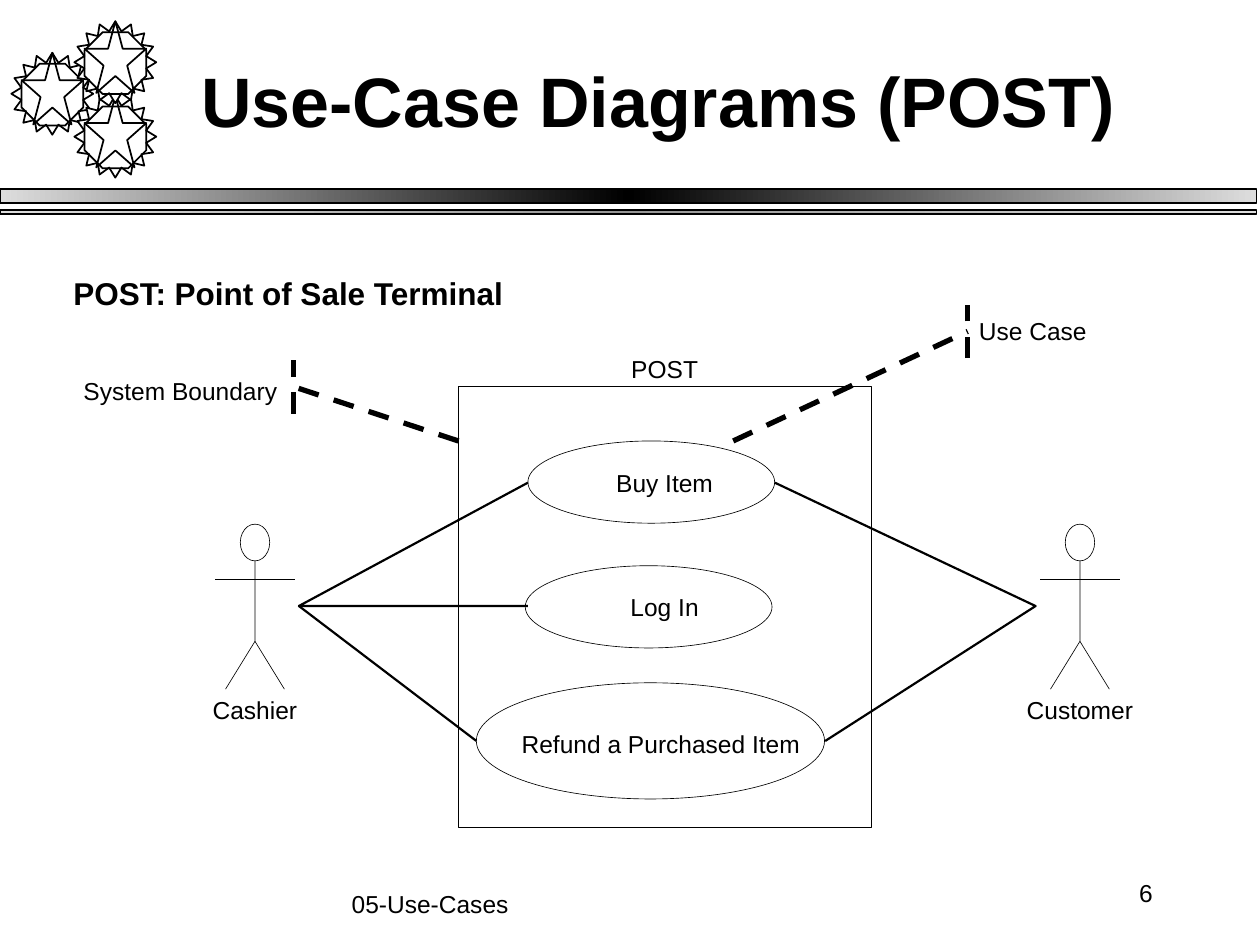
import copy
import math

import pptx
import pptx.dml.color
import pptx.enum.dml
import pptx.enum.shapes
import pptx.enum.text
import pptx.util
from lxml import etree

Pt = pptx.util.Pt
KIND = pptx.enum.shapes.MSO_SHAPE
ALIGN = pptx.enum.text.PP_ALIGN
ANCHOR = pptx.enum.text.MSO_ANCHOR
FIT = pptx.enum.text.MSO_AUTO_SIZE
DASH = pptx.enum.dml.MSO_LINE.DASH
DML = "http://schemas.openxmlformats.org/drawingml/2006/main"


class Theme:
    font = "Arial"
    ink, paper = "000000", "FFFFFF"
    pale, gray = "DDDDDD", "969696"
    title, head, body = 40, 18, 14
    hair, rule, link, bold = 0.37, 0.99, 1.25, 3


def rgb(code):
    return pptx.dml.color.RGBColor.from_string(code)


def style(shape, width, fill=None, dash=None):
    shape.shadow.inherit = False
    shape.line.color.rgb = rgb(Theme.ink)
    shape.line.width = Pt(width)
    if dash:
        shape.line.dash_style = dash
    if fill:
        shape.fill.solid()
        shape.fill.fore_color.rgb = rgb(fill)
    else:
        shape.fill.background()
    return shape


def draw(slide, kind, x, y, w, h, width, fill=None):
    shape = slide.shapes.add_shape(kind, Pt(x), Pt(y), Pt(w), Pt(h))
    return style(shape, width, fill)


def trace(slide, x, y, runs, width, fill=None, dash=None, close=False):
    """Draw one outline from runs of points given relative to x, y."""
    runs = [[(Pt(x + a), Pt(y + b)) for a, b in run] for run in runs]
    pen = slide.shapes.build_freeform(*runs[0][0])
    for i, run in enumerate(runs):
        if i:
            pen.move_to(*run[0])
        pen.add_line_segments(run[1:], close=close)
    return style(pen.convert_to_shape(), width, fill, dash)


def join(slide, x, y, start, end, width):
    line = slide.shapes.add_connector(
        pptx.enum.shapes.MSO_CONNECTOR.STRAIGHT,
        Pt(x + start[0]), Pt(y + start[1]), Pt(x + end[0]), Pt(y + end[1]))
    line.line.color.rgb = rgb(Theme.ink)
    line.line.width = Pt(width)
    etree.SubElement(line._element.spPr, "{%s}effectLst" % DML)


def text(slide, words, x, y, w, h=16.6, size=Theme.body, bold=False,
         align=ALIGN.LEFT, anchor=ANCHOR.TOP, pad=(0, 0), wrap=False):
    box = slide.shapes.add_textbox(Pt(x), Pt(y), Pt(w), Pt(h))
    frame = box.text_frame
    frame.word_wrap = wrap
    frame.auto_size = FIT.NONE if wrap else FIT.SHAPE_TO_FIT_TEXT
    frame.vertical_anchor = anchor
    frame.margin_left = frame.margin_right = Pt(pad[0])
    frame.margin_top = frame.margin_bottom = Pt(pad[1])
    par = frame.paragraphs[0]
    par.alignment = align
    run = par.add_run()
    run.text = words
    run.font.name = Theme.font
    run.font.size = Pt(size)
    run.font.bold = bold
    run.font.color.rgb = rgb(Theme.ink)


def band(slide, x, y, w, h, middle):
    shape = draw(slide, KIND.RECTANGLE, x, y, w, h, Theme.rule)
    shape.fill.gradient()
    shape.fill.gradient_angle = 0
    stops = shape._element.spPr.find(".//{%s}gsLst" % DML)
    stops.insert(1, copy.deepcopy(stops[0]))
    colors = (Theme.pale, middle, Theme.pale)
    for i, (stop, color) in enumerate(zip(shape.fill.gradient_stops, colors)):
        stop.position = i / 2
        stop.color.rgb = rgb(color)


def gear(slide, x, y):
    # Sixteen teeth around a star and an octagon
    mid, teeth = 23.4, 16
    rim = []
    for i in range(2 * teeth):
        turn = math.pi * i / teeth
        reach = 18 if i % 2 else mid
        rim.append((mid + reach * math.cos(turn), mid + reach * math.sin(turn)))
    trace(slide, x, y, [rim], Theme.rule, Theme.paper, close=True)
    draw(slide, KIND.STAR_5_POINT, x + 5.8, y, 35.3, 41, Theme.rule, Theme.paper)
    draw(slide, KIND.OCTAGON, x + 5.8, y + 6.2, 35.3, 35.3, Theme.rule)


def header(slide, x, y):
    band(slide, x, y + 108, 718, 7.9, Theme.ink)
    band(slide, x, y + 120.2, 718, 2, Theme.gray)
    for left, top in ((6.5, 30.2), (42.5, 54.7), (42.5, 12.2)):
        gear(slide, x + left, y + top)
    text(slide, "Use-Case Diagrams (POST)", x + 108, y + 12, 612, 90,
         size=Theme.title, bold=True, anchor=ANCHOR.MIDDLE, pad=(7.2, 3.6),
         wrap=True)


def actor(slide, x, y, name, w):
    mid = 22.6
    draw(slide, KIND.OVAL, x + mid - 8.4, y, 16.8, 21, Theme.hair, Theme.paper)
    body = [[(0, 31.7), (2 * mid, 31.7)],
            [(mid, 67), (39.4, 94.3)],
            [(mid, 21), (mid, 67), (5.8, 94.3)]]
    trace(slide, x, y, body, Theme.hair)
    text(slide, name, x + mid - w / 2, y + 97.9, w, align=ALIGN.CENTER)


def note(slide, x, y, start, end):
    # Dashed pointer with an upright bar at its label
    bar = [(end[0], end[1] + 15.3), (end[0], end[1] - 15.3)]
    trace(slide, x, y, [[start, end], bar], Theme.bold, dash=DASH)


def diagram(slide, x, y):
    # Actors
    actor(slide, x + 546.5, y + 125.5, "Customer", 62)
    actor(slide, x + 75.1, y + 125.5, "Cashier", 50)

    # Use cases: oval box, then label place
    cases = (("Buy Item", (253.7, 78, 141, 47), (304.1, 93.5, 57)),
             ("Log In", (252.2, 149.3, 141, 47), (312.3, 164.4, 41)),
             ("Refund a Purchased Item", (224.2, 216.2, 199, 66.4),
              (250.1, 242.5, 161)))
    for name, (left, top, w, h), (a, b, wide) in cases:
        draw(slide, KIND.OVAL, x + left, y + top, w, h, Theme.hair, Theme.paper)
        text(slide, name, x + a, y + b, wide)

    # Links
    desk, guest = (122.8, 172.3), (543.8, 172.3)
    trace(slide, x, y, [[(253.7, 172.3), desk, (253.7, 101.8)]], Theme.link)
    join(slide, x, y, (224.2, 249.4), desk, Theme.link)
    trace(slide, x, y, [[(394.8, 101.8), guest, (423.6, 249.4)]], Theme.link)

    # System boundary
    draw(slide, KIND.RECTANGLE, x + 214, y + 47, 235.8, 251.7, Theme.hair)
    text(slide, "POST", x + 312.7, y + 28.3, 40)

    # Notes
    note(slide, x, y, (371, 78), (505, 15.4))
    text(slide, "Use Case", x + 511.4, y + 6.7, 63)
    note(slide, x, y, (214, 78), (119.8, 47))
    text(slide, "System Boundary", x - 0.3, y + 41, 113)


def footer(slide, x, y):
    pad = (7.2, 3.6)
    text(slide, "05-Use-Cases", x, y + 12.2, 408, 36, align=ALIGN.CENTER,
         pad=pad, wrap=True)
    text(slide, "6", x + 474, y, 150, 36, align=ALIGN.RIGHT,
         anchor=ANCHOR.MIDDLE, pad=pad, wrap=True)


deck = pptx.Presentation()
deck.slide_width, deck.slide_height = Pt(720), Pt(540)
page = deck.slides.add_slide(deck.slide_layouts[6])
header(page, 0, 0)
diagram(page, 48, 174)
text(page, "POST: Point of Sale Terminal", 34.8, 153, 264, 28.8,
     size=Theme.head, bold=True, pad=(7.2, 3.6))
footer(page, 41.8, 492)
deck.save("out.pptx")
